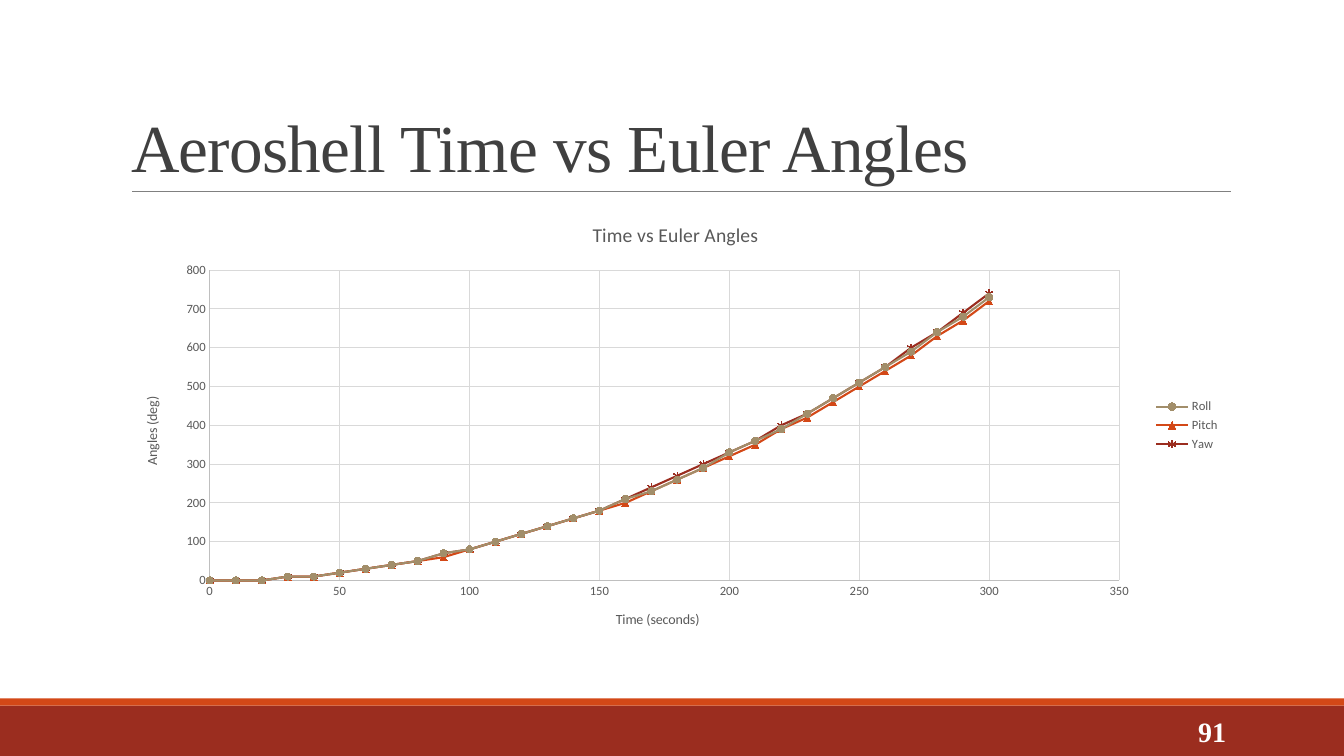
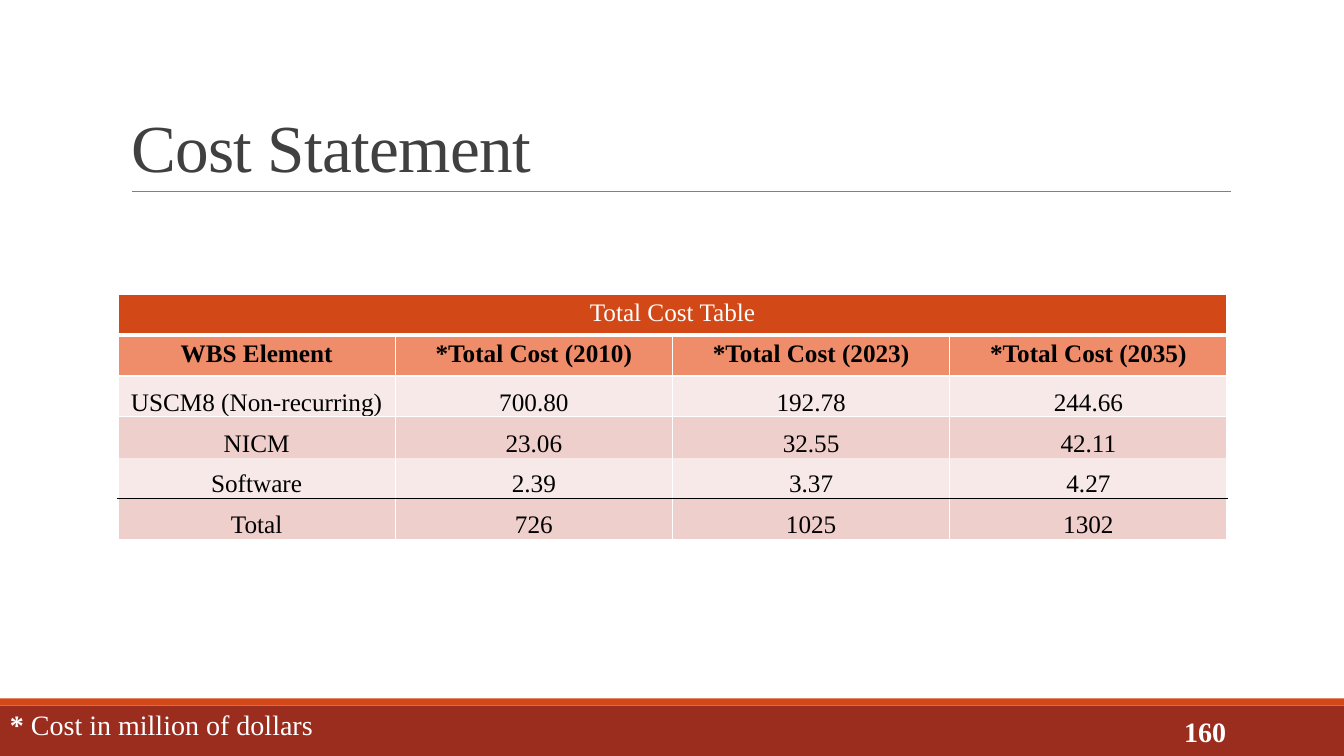
from lxml.etree import SubElement
from pptx import Presentation
from pptx.chart.data import XyChartData
from pptx.dml.color import RGBColor
from pptx.enum.chart import XL_CHART_TYPE, XL_LEGEND_POSITION, XL_MARKER_STYLE, XL_TICK_MARK
from pptx.enum.shapes import MSO_CONNECTOR, MSO_SHAPE
from pptx.enum.text import MSO_ANCHOR, MSO_AUTO_SIZE, PP_ALIGN
from pptx.oxml.ns import qn
from pptx.util import Inches, Pt

COLORS = {
    "brick": "9B2D1F", "orange": "D34817", "tan": "A28E6A",
    "rule": "808080", "title": "404040", "white": "FFFFFF", "black": "000000",
    "label": "595959", "axis": "BFBFBF", "grid": "D9D9D9",
    "heading": "EF8C6A", "light_row": "F7E9E8", "dark_row": "EFCFCC",
}
SERIF = "Times New Roman"
SANS = "Calibri"
SLIDE_WIDTH, SLIDE_HEIGHT = 13.33, 7.5
BAND_TOP, STRIPE_HEIGHT = 7, 0.07
TITLE_BOX = (1.2, 0.31, 11, 1.59)
NUMBER_BOX = (10.83, 7.06, 1.43, 0.4)

TIMES = range(0, 301, 10)
ANGLES = [
    ("Roll", "tan", XL_MARKER_STYLE.CIRCLE,
     [0, 0, 0, 10, 10, 20, 30, 40, 50, 70, 80, 100, 120, 140, 160, 180, 210, 230,
      260, 290, 330, 360, 390, 430, 470, 510, 550, 590, 640, 680, 730]),
    ("Pitch", "orange", XL_MARKER_STYLE.TRIANGLE,
     [0, 0, 0, 10, 10, 20, 30, 40, 50, 60, 80, 100, 120, 140, 160, 180, 200, 230,
      260, 290, 320, 350, 390, 420, 460, 500, 540, 580, 630, 670, 720]),
    ("Yaw", "brick", XL_MARKER_STYLE.STAR,
     [0, 0, 0, 10, 10, 20, 30, 40, 50, 70, 80, 100, 120, 140, 160, 180, 210, 240,
      270, 300, 330, 360, 400, 430, 470, 510, 550, 600, 640, 690, 740]),
]
COSTS = [
    ["Total Cost Table", "", "", ""],
    ["WBS Element", "*Total Cost (2010)", "*Total Cost (2023)", "*Total Cost (2035)"],
    ["USCM8 (Non-recurring)", "700.80", "192.78", "244.66"],
    ["NICM", "23.06", "32.55", "42.11"],
    ["Software", "2.39", "3.37", "4.27"],
    ["Total", "726", "1025", "1302"],
]
ROW_FILLS = ["orange", "heading", "light_row", "dark_row", "light_row", "dark_row"]
ROW_EDGES = [("white", 1), ("white", 3), ("white", 1), ("white", 1),
             None, ("black", 1), ("white", 1)]


def color(name):
    """Return the named colour."""
    return RGBColor.from_string(COLORS[name])


def inches(box):
    """Convert a box of numbers to lengths."""
    return [Inches(length) for length in box]


def style_font(font, size, color_name, name=SERIF, bold=False):
    """Set the look of a font."""
    font.name = name
    font.size = Pt(size)
    font.bold = bold
    font.color.rgb = color(color_name)


def add_run(paragraph, text, size, color_name, name=SERIF, bold=False):
    """Append a formatted run to a paragraph."""
    run = paragraph.add_run()
    run.text = text
    style_font(run.font, size, color_name, name, bold)
    return run


def style_line(line, color_name, width):
    """Set the colour and width of a line."""
    line.color.rgb = color(color_name)
    line.width = Pt(width)


def add_band(slide, box, color_name):
    """Draw a plain filled band."""
    shape = slide.shapes.add_shape(MSO_SHAPE.RECTANGLE, *inches(box))
    shape.shadow.inherit = False
    shape.fill.solid()
    shape.fill.fore_color.rgb = color(color_name)
    shape.line.fill.background()


def add_label(slide, box, runs, align=PP_ALIGN.LEFT, anchor=MSO_ANCHOR.TOP):
    """Place a white text box made of text and bold pairs."""
    frame = slide.shapes.add_textbox(*inches(box)).text_frame
    frame.word_wrap = True
    frame.vertical_anchor = anchor
    paragraph = frame.paragraphs[0]
    paragraph.alignment = align
    for text, bold in runs:
        add_run(paragraph, text, 20, "white", bold=bold)


def add_title(slide, box, text):
    """Format the title placeholder and draw the rule below it."""
    left, top, width, height = box
    title = slide.shapes.title
    title.left, title.top, title.width, title.height = inches(box)
    frame = title.text_frame
    frame.word_wrap = True
    frame.auto_size = MSO_AUTO_SIZE.NONE
    frame.vertical_anchor = MSO_ANCHOR.BOTTOM
    paragraph = frame.paragraphs[0]
    paragraph.alignment = PP_ALIGN.LEFT
    paragraph.line_spacing = 0.85
    run = add_run(paragraph, text, 48, "title")
    run.font._element.set("spc", "-50")
    start, end, bottom = inches((left + 0.11, left + width + 0.01, top + height))
    rule = slide.shapes.add_connector(MSO_CONNECTOR.STRAIGHT, start, bottom, end, bottom)
    style_line(rule.line, "rule", 0.5)
    SubElement(rule._element.spPr, qn("a:effectLst"))


def add_base_slide(presentation, title, number):
    """Add a slide with the shared bands, title and number."""
    slide = presentation.slides.add_slide(presentation.slide_layouts[5])
    add_band(slide, (0, BAND_TOP, SLIDE_WIDTH, SLIDE_HEIGHT - BAND_TOP), "brick")
    add_band(slide, (0, BAND_TOP - STRIPE_HEIGHT, SLIDE_WIDTH, STRIPE_HEIGHT), "orange")
    add_title(slide, TITLE_BOX, title)
    add_label(slide, NUMBER_BOX, [(number, True)], PP_ALIGN.RIGHT, MSO_ANCHOR.MIDDLE)
    return slide


def style_axis(axis, title, maximum, step):
    """Format one chart axis."""
    axis.minimum_scale, axis.maximum_scale, axis.major_unit = 0, maximum, step
    axis.major_tick_mark = axis.minor_tick_mark = XL_TICK_MARK.NONE
    axis.has_major_gridlines = True
    style_line(axis.major_gridlines.format.line, "grid", 0.75)
    style_line(axis.format.line, "axis", 0.75)
    style_font(axis.tick_labels.font, 9, "label", SANS)
    add_run(axis.axis_title.text_frame.paragraphs[0], title, 10, "label", SANS)


def fix_plot_area(chart, left, top, width, height):
    """Pin the inner plot area to fractions of the chart."""
    plot_area = chart._chartSpace.chart.plotArea
    for layout in plot_area.findall(qn("c:layout")):
        plot_area.remove(layout)
    layout = SubElement(plot_area, qn("c:layout"))
    plot_area.insert(0, layout)
    manual = SubElement(layout, qn("c:manualLayout"))
    settings = [("layoutTarget", "inner"), ("xMode", "edge"), ("yMode", "edge"),
                ("x", left), ("y", top), ("w", width), ("h", height)]
    for tag, value in settings:
        SubElement(manual, qn("c:" + tag)).set("val", str(value))


def add_angle_chart(slide, box):
    """Draw the scatter chart of the three angles over time."""
    data = XyChartData()
    for name, _, _, angles in ANGLES:
        series = data.add_series(name)
        for time, angle in zip(TIMES, angles):
            series.add_data_point(time, angle)
    chart = slide.shapes.add_chart(XL_CHART_TYPE.XY_SCATTER_LINES, *inches(box), data).chart
    style_font(chart.font, 10, "black", SANS)
    chart.has_title = True
    add_run(chart.chart_title.text_frame.paragraphs[0],
            "Time vs Euler Angles", 14, "label", SANS)
    style_axis(chart.category_axis, "Time (seconds)", 350, 50)
    style_axis(chart.value_axis, "Angles (deg)", 800, 100)
    chart.has_legend = True
    chart.legend.position = XL_LEGEND_POSITION.RIGHT
    chart.legend.include_in_layout = False
    style_font(chart.legend.font, 9, "label", SANS)
    fix_plot_area(chart, 0.08, 0.15, 0.82, 0.7)
    plot = chart.plots[0]
    plot.vary_by_categories = False
    for series, (_, color_name, marker_style, _) in zip(plot.series, ANGLES):
        series.smooth = False
        style_line(series.format.line, color_name, 1.5)
        marker = series.marker
        marker.style = marker_style
        marker.size = 5
        marker.format.fill.solid()
        marker.format.fill.fore_color.rgb = color(color_name)
        style_line(marker.format.line, color_name, 0.75)


def set_borders(cell, top, bottom):
    """Give a cell white sides and the given top and bottom edges."""
    properties = cell._tc.get_or_add_tcPr()
    side = ("white", 1)
    for tag, edge in (("lnL", side), ("lnR", side), ("lnT", top), ("lnB", bottom)):
        line = SubElement(properties, qn("a:" + tag))
        if edge is None:
            SubElement(line, qn("a:noFill"))
            continue
        line.set("w", str(Pt(edge[1])))
        fill = SubElement(line, qn("a:solidFill"))
        SubElement(fill, qn("a:srgbClr")).set("val", COLORS[edge[0]])


def add_cost_table(slide, box):
    """Draw the cost table with its merged heading."""
    width, height = box[2:]
    rows, columns = len(COSTS), len(COSTS[0])
    table = slide.shapes.add_table(rows, columns, *inches(box)).table
    for column in table.columns:
        column.width = Inches(width / columns)
    for row_index, texts in enumerate(COSTS):
        table.rows[row_index].height = Inches(height / rows)
        for column_index, text in enumerate(texts):
            cell = table.cell(row_index, column_index)
            set_borders(cell, ROW_EDGES[row_index], ROW_EDGES[row_index + 1])
            cell.fill.solid()
            cell.fill.fore_color.rgb = color(ROW_FILLS[row_index])
            if row_index > 1:
                cell.vertical_anchor = MSO_ANCHOR.BOTTOM
                cell.margin_left = cell.margin_right = cell.margin_top = Inches(0.01)
                cell.margin_bottom = 0
            if text:
                paragraph = cell.text_frame.paragraphs[0]
                paragraph.alignment = PP_ALIGN.CENTER
                add_run(paragraph, text, 18, "black" if row_index else "white",
                        bold=row_index == 1)
    table.cell(0, 0).merge(table.cell(0, columns - 1))


def main():
    """Build and save the presentation."""
    presentation = Presentation()
    presentation.slide_width = Inches(SLIDE_WIDTH)
    presentation.slide_height = Inches(SLIDE_HEIGHT)
    angle_slide = add_base_slide(presentation, "Aeroshell Time vs Euler Angles", "91")
    add_angle_chart(angle_slide, (1.2, 2.02, 11, 4.4))
    cost_slide = add_base_slide(presentation, "Cost Statement", "160")
    add_cost_table(cost_slide, (1.17, 2.92, 11, 2.43))
    add_label(cost_slide, (0, 6.97, 4.36, 0.44),
              [("* ", True), ("Cost in million of dollars", False)])
    presentation.save("out.pptx")


if __name__ == "__main__":
    main()
